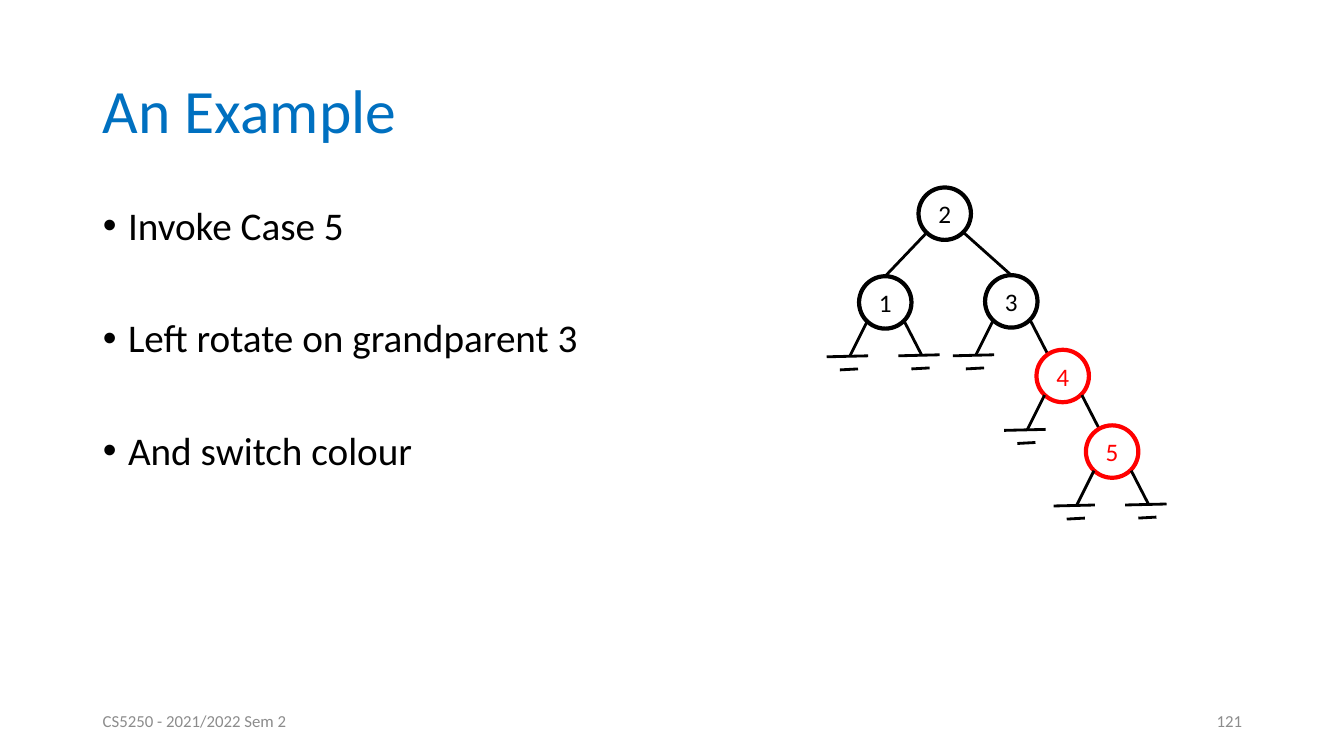
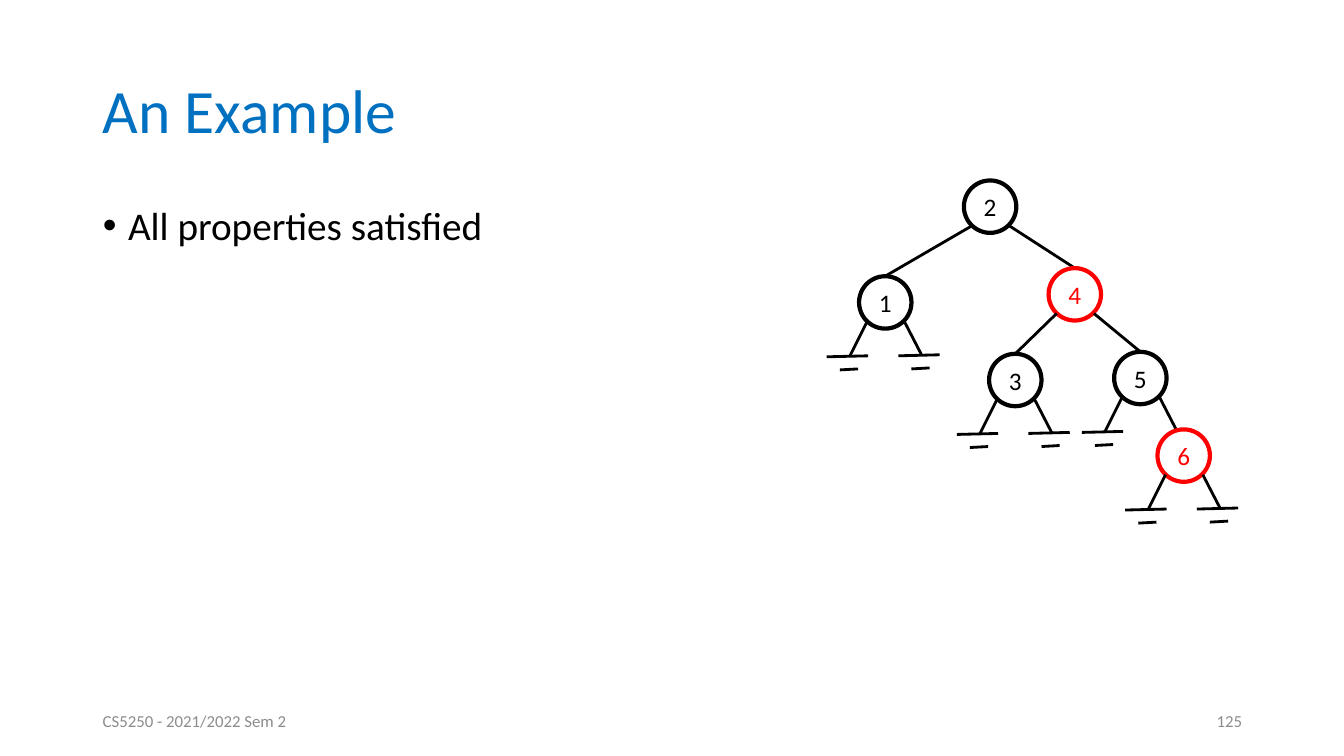
from lxml import etree
from pptx import Presentation
from pptx.dml.color import RGBColor
from pptx.enum.shapes import MSO_CONNECTOR, MSO_SHAPE
from pptx.enum.text import MSO_ANCHOR, MSO_AUTO_SIZE, PP_ALIGN
from pptx.oxml.ns import qn
from pptx.util import Inches, Pt

LEFT, CENTER, RIGHT = PP_ALIGN.LEFT, PP_ALIGN.CENTER, PP_ALIGN.RIGHT
MIDDLE, TOP = MSO_ANCHOR.MIDDLE, MSO_ANCHOR.TOP
NO_AUTOFIT = MSO_AUTO_SIZE.NONE
OVAL, STRAIGHT = MSO_SHAPE.OVAL, MSO_CONNECTOR.STRAIGHT

BLUE = RGBColor(0x00, 0x70, 0xC0)
BLACK = RGBColor(0x00, 0x00, 0x00)
RED = RGBColor(0xFF, 0x00, 0x00)
GRAY = RGBColor(0x8C, 0x8C, 0x8C)

FONT_NAME = "Calibri"
MARGIN = 0.92
CONTENT_WIDTH = 11.5
FOOTER_WIDTH = 3
FOOTER_LEFT = MARGIN + CONTENT_WIDTH - FOOTER_WIDTH
FOOTER = "CS5250 - 2021/2022 Sem 2"

TITLE = dict(box=(MARGIN, 0.4, CONTENT_WIDTH, 1.45), size=44, color=BLUE,
             align=LEFT, anchor=MIDDLE, line_spacing=0.9)
BODY = dict(box=(MARGIN, 2, CONTENT_WIDTH, 4.76), size=28, color=BLACK,
            align=LEFT, anchor=TOP, line_spacing=0.9, space=50, indent=0.25)
COURSE = dict(box=(MARGIN, 6.95, FOOTER_WIDTH, 0.4), size=12, color=GRAY,
              align=LEFT, anchor=MIDDLE)
NUMBER = dict(COURSE, box=(FOOTER_LEFT, 6.95, FOOTER_WIDTH, 0.4), align=RIGHT)

# Tree geometry, measured from the top left corner of a node
NODE_SIZE = 0.52
EDGE_START = {"left": (0.08, 0.45), "right": (0.45, 0.45)}
LEG_END = {"left": (-0.09, 0.79), "right": (0.62, 0.78)}
# Bars of the ground symbol, measured from the end of a leg
GROUND_BARS = [((0.18, 0), (-0.23, 0.01)), ((0.08, 0.13), (-0.1, 0.14))]
# A side links to a ground symbol, to a child on the leg, or to a child's top
GROUND, LEG = "ground", "leg"

# Nodes: label -> left, top, colour, left link, right link
SLIDES = [
    dict(number="121",
         bullets=["Invoke Case 5", "Left rotate on grandparent 3",
                  "And switch colour"],
         tree={"1": (8.52, 2.74, BLACK, GROUND, GROUND),
               "2": (9.11, 1.86, BLACK, "1", "3"),
               "3": (9.77, 2.73, BLACK, GROUND, LEG),
               "4": (10.28, 3.47, RED, GROUND, LEG),
               "5": (10.77, 4.22, RED, GROUND, GROUND)}),
    dict(number="125",
         bullets=["All properties satisfied"],
         tree={"1": (8.52, 2.74, BLACK, GROUND, GROUND),
               "2": (9.56, 1.79, BLACK, "1", "4"),
               "3": (9.81, 3.51, BLACK, GROUND, GROUND),
               "4": (10.4, 2.66, RED, "3", "5"),
               "5": (11.05, 3.49, BLACK, GROUND, LEG),
               "6": (11.48, 4.26, RED, GROUND, GROUND)}),
]


def write_text(shape, lines, style):
    """Place the shape and fill it with one formatted paragraph per line."""
    shape.left, shape.top, shape.width, shape.height = map(Inches, style["box"])
    frame = shape.text_frame
    frame.text = "\n".join(lines)
    frame_format = dict(word_wrap=True, auto_size=NO_AUTOFIT,
                        vertical_anchor=style["anchor"])
    for name, value in frame_format.items():
        setattr(frame, name, value)
    for index, paragraph in enumerate(frame.paragraphs):
        if "indent" in style:
            properties = paragraph._p.get_or_add_pPr()
            properties.set("marL", str(Inches(style["indent"])))
            properties.set("indent", str(-Inches(style["indent"])))
        paragraph_format = dict(
            alignment=style["align"], line_spacing=style.get("line_spacing", 1.0),
            space_before=Pt(style.get("space", 0) if index else 0))
        for name, value in paragraph_format.items():
            setattr(paragraph, name, value)
        font = paragraph.runs[0].font
        for name, value in dict(name=FONT_NAME, size=Pt(style["size"])).items():
            setattr(font, name, value)
        font.color.rgb = style["color"]


def add_line(slide, start, end):
    line = slide.shapes.add_connector(STRAIGHT, *map(Inches, (*start, *end)))
    line.line.color.rgb = BLACK
    line.line.width = Pt(2)
    etree.SubElement(line._element.spPr, qn("a:effectLst"))


presentation = Presentation()
presentation.slide_width = Inches(13.33)
presentation.slide_height = Inches(7.5)
layout = presentation.slide_layouts[1]

for content in SLIDES:
    slide = presentation.slides.add_slide(layout)
    write_text(slide.shapes.title, ["An Example"], TITLE)
    write_text(slide.placeholders[1], content["bullets"], BODY)
    for text, style in ((FOOTER, COURSE), (content["number"], NUMBER)):
        footer_box = slide.shapes.add_textbox(*map(Inches, style["box"]))
        write_text(footer_box, [text], style)

    tree = content["tree"]
    for label, (left, top, color, left_link, right_link) in tree.items():
        box = (left, top, NODE_SIZE, NODE_SIZE)
        node = slide.shapes.add_shape(OVAL, *map(Inches, box))
        node.shadow.inherit = False
        node.fill.background()
        node.line.color.rgb = color
        node.line.width = Pt(3)
        write_text(node, [label], dict(box=box, size=18, color=color,
                                       align=CENTER, anchor=MIDDLE))
        node.text_frame.word_wrap = False

        for side, link in (("left", left_link), ("right", right_link)):
            start_x, start_y = EDGE_START[side]
            end_x, end_y = LEG_END[side]
            end = (left + end_x, top + end_y)
            if link in tree:
                child_left, child_top = tree[link][:2]
                end = (child_left + NODE_SIZE / 2, child_top)
            add_line(slide, (left + start_x, top + start_y), end)
            if link == GROUND:
                for bar in GROUND_BARS:
                    add_line(slide, *[(end[0] + x, end[1] + y) for x, y in bar])

presentation.save("out.pptx")
